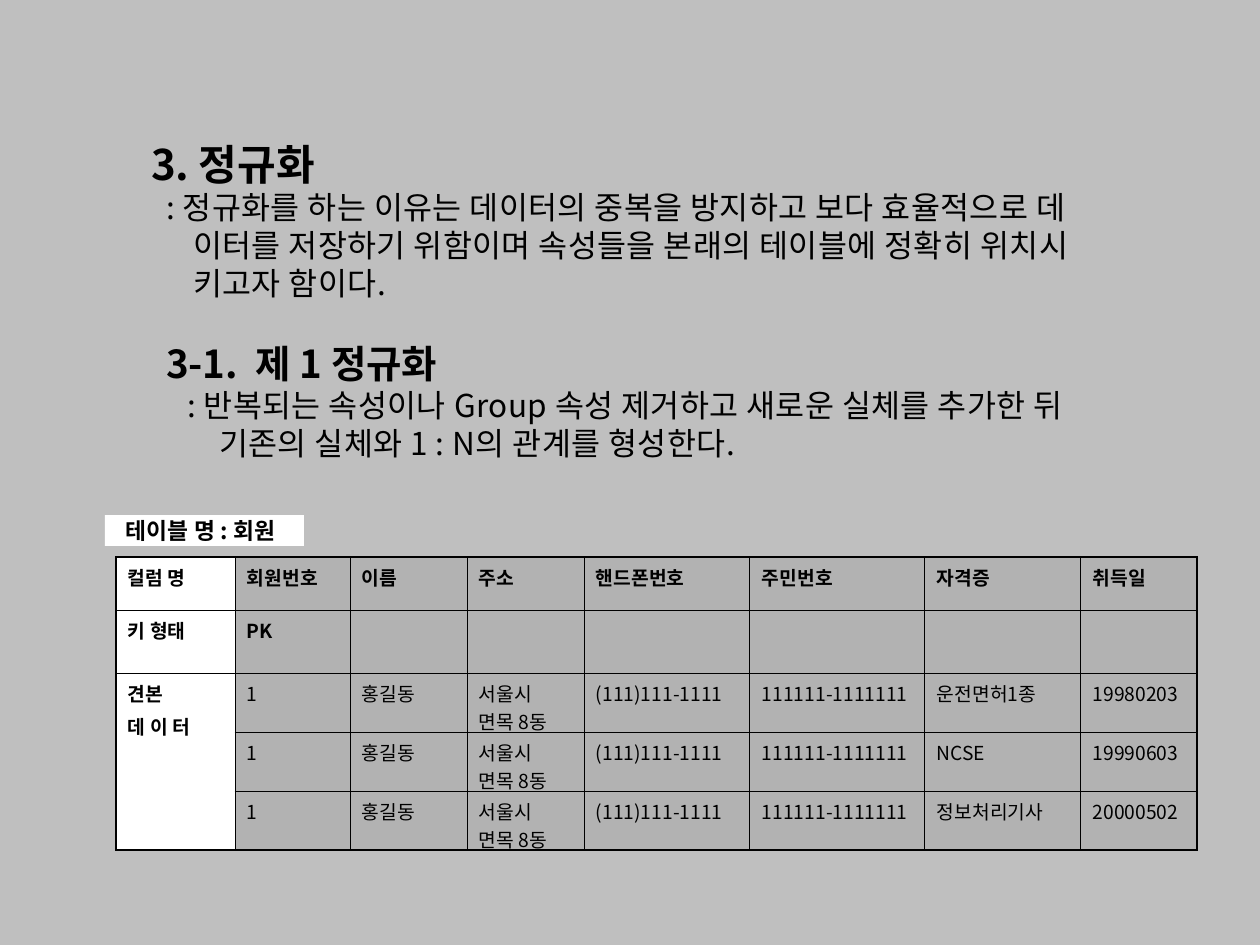
from pptx import Presentation
from pptx.dml.color import RGBColor as Rgb
from pptx.enum.shapes import MSO_SHAPE as Shape
from pptx.enum.text import MSO_ANCHOR as Anchor, PP_ALIGN as Align
from pptx.oxml.ns import qn
from pptx.util import Pt
from lxml.etree import SubElement as Sub

PX = 7257.14
FONT = "Noto Sans CJK KR"
HEX = {"back": "BFBFBF", "cell": "B2B2B2", "white": "FFFFFF", "ink": "000000"}

# text, size, bold, left margin, hanging indent, space before, letter spacing
BODY = [
    ("3. 정규화", 24, True, 20, 0, 0, 0),
    (": 정규화를 하는 이유는 데이터의 중복을 방지하고 보다 효율적으로 데\v"
     "이터를 저장하기 위함이며 속성들을 본래의 테이블에 정확히 위치시\v"
     "키고자 함이다.", 18, False, 62, 27, 0, 25),
    ("3-1.  제 1 정규화", 22, True, 35, 0, 21.6, 0),
    (": 반복되는 속성이나 Group 속성 제거하고 새로운 실체를 추가한 뒤\v"
     "기존의 실체와 1 : N의 관계를 형성한다.", 18, False, 88, 32, 0, 25),
]

COLS = [119, 115, 117, 117, 166, 175, 156, 116]
ROWS = [53, 63, 59, 59, 59]
HEAD = ["컬럼 명", "회원번호", "이름", "주소", "핸드폰번호", "주민번호", "자격증", "취득일"]
KEYS = ["키 형태", "PK"] + [""] * 6
SAMPLE = ["1", "홍길동", "서울시 면목 8동", "(111)111-1111", "111111-1111111"]
CERTS = [("운전면허1종", "19980203"), ("NCSE", "19990603"), ("정보처리기사", "20000502")]
SIDE = ["견본\n데 이 터", "", ""]
DATA = [HEAD, KEYS] + [[side, *SAMPLE, *cert] for side, cert in zip(SIDE, CERTS)]


def px(n):
    return round(n * PX)


def color(name):
    return Rgb.from_string(HEX[name])


def paint(item, name):
    item.fill.solid()
    item.fill.fore_color.rgb = color(name)


def style(para, size, bold, track=0):
    for run in para.runs:
        font = run.font
        font.name, font.size, font.bold = FONT, Pt(size), bold
        font.color.rgb = color("ink")
        props = run._r.get_or_add_rPr()
        Sub(props, qn("a:ea"), typeface=FONT)
        if track:
            props.set("spc", str(track))


def pad(frame, left, top, right, low):
    frame.margin_left, frame.margin_top = px(left), px(top)
    frame.margin_right, frame.margin_bottom = px(right), px(low)


def add_body(slide, x, y, w, h):
    frame = slide.shapes.add_textbox(px(x), px(y), px(w), px(h)).text_frame
    frame.word_wrap = True
    pad(frame, 13, 6, 13, 6)
    for i, (text, size, bold, left, hang, gap, track) in enumerate(BODY):
        para = frame.add_paragraph() if i else frame.paragraphs[0]
        para.text = text
        if gap:
            para.space_before = Pt(gap)
        props = para._p.get_or_add_pPr()
        props.set("marL", str(px(left)))
        props.set("indent", str(px(-hang)))
        style(para, size, bold, track)


def edge(cell, row, col):
    """Draw thin inner lines and thicker lines on the rim of the table."""
    side_cell = row >= 2 and col == 0
    rim = {"L": col == 0, "R": col == len(COLS) - 1,
           "T": row == 0, "B": row == len(ROWS) - 1 or side_cell}
    props = cell._tc.get_or_add_tcPr()
    for side, thick in rim.items():
        line = Sub(props, qn("a:ln" + side), w=str(Pt(1.08 if thick else 0.45)))
        Sub(Sub(line, qn("a:solidFill")), qn("a:srgbClr"), val=HEX["ink"])


def fill_cell(cell, row, col):
    edge(cell, row, col)
    paint(cell, "cell" if col else "white")
    pad(cell, 12, 6, 12, 6)
    cell.text_frame.text = DATA[row][col]
    for i, para in enumerate(cell.text_frame.paragraphs):
        style(para, 11, row < 2 or col == 0)
        if i:
            para.space_before = Pt(2.8)


def add_grid(slide, x, y):
    grid = slide.shapes.add_table(len(ROWS), len(COLS), px(x), px(y),
                                  px(sum(COLS)), px(sum(ROWS))).table
    grid.first_row = grid.horz_banding = False
    for col, w in zip(grid.columns, COLS):
        col.width = px(w)
    for row, h in zip(grid.rows, ROWS):
        row.height = px(h)
    for row in range(len(ROWS)):
        for col in range(len(COLS)):
            fill_cell(grid.cell(row, col), row, col)
    grid.cell(2, 0).merge(grid.cell(4, 0))


def add_label(slide, x, y, w, h):
    box = slide.shapes.add_shape(Shape.RECTANGLE, px(x), px(y), px(w), px(h))
    box.shadow.inherit = False
    paint(box, "white")
    box.line.fill.background()
    frame = box.text_frame
    frame.word_wrap = False
    frame.vertical_anchor = Anchor.MIDDLE
    pad(frame, 13, 6, 21, 6)
    frame.text = "테이블 명 : 회원"
    frame.paragraphs[0].alignment = Align.CENTER
    style(frame.paragraphs[0], 13, True, 10)


def main():
    deck = Presentation()
    deck.slide_width, deck.slide_height = px(1260), px(945)
    slide = deck.slides.add_slide(deck.slide_layouts[6])
    paint(slide.background, "back")
    add_body(slide, 118, 132, 1079, 421)
    add_grid(slide, 116, 557)
    add_label(slide, 105, 515, 199, 31)
    deck.save("out.pptx")


if __name__ == "__main__":
    main()
